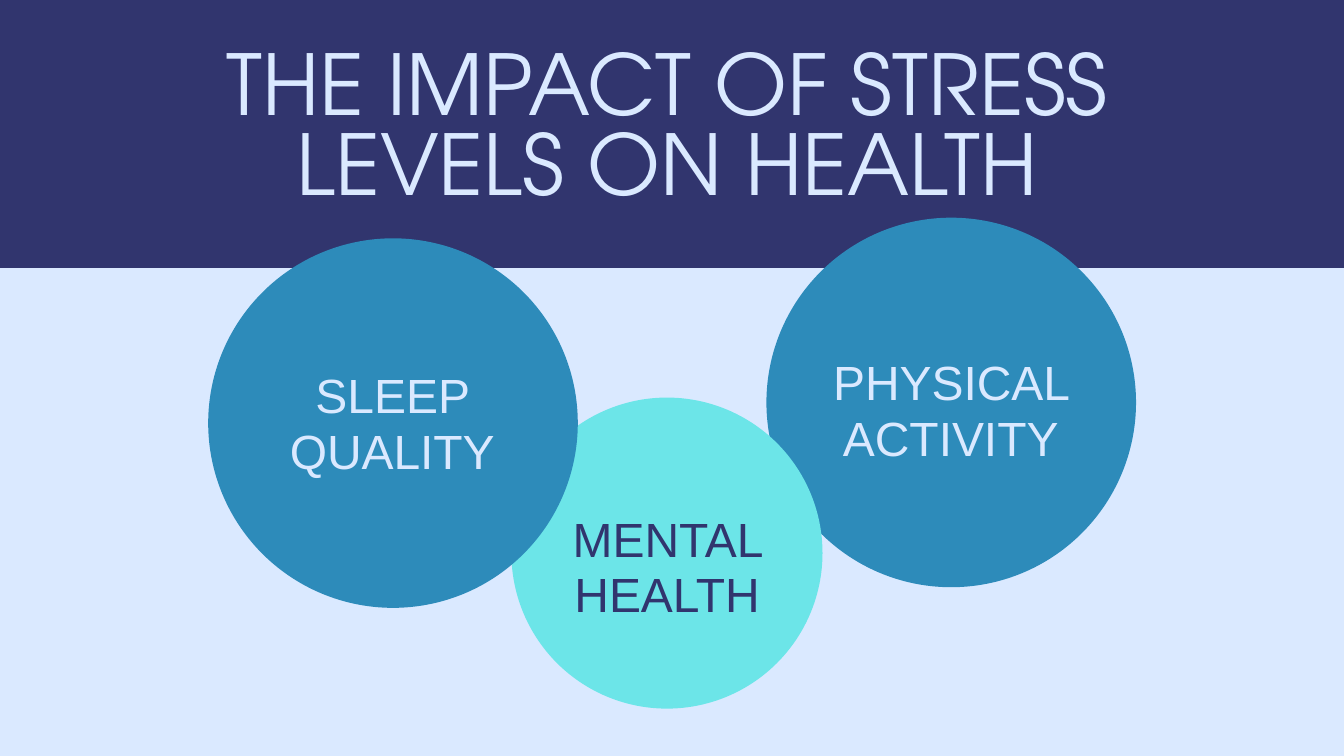
from pptx import Presentation
from pptx.dml.color import RGBColor
from pptx.enum.shapes import MSO_SHAPE
from pptx.enum.text import MSO_ANCHOR, PP_ALIGN
from pptx.util import Cm, Pt

RECTANGLE = MSO_SHAPE.RECTANGLE
OVAL = MSO_SHAPE.OVAL
CENTER = PP_ALIGN.CENTER
TOP = MSO_ANCHOR.TOP

COLORS = {
    "navy": "31356E",
    "pale": "DAE9FF",
    "blue": "2D8BBA",
    "aqua": "6CE5E8",
}
TITLE_STYLE = ("TeX Gyre Adventor", 89.8, 86.2)
LABEL_STYLE = ("Arial", 51.4, 59.6)
LABEL_HEIGHT = 4.22


def color(name):
    return RGBColor.from_string(COLORS[name])


def add_filled_shape(slide, kind, left, top, width, height, fill):
    shape = slide.shapes.add_shape(kind, Cm(left), Cm(top), Cm(width), Cm(height))
    shape.shadow.inherit = False
    shape.fill.solid()
    shape.fill.fore_color.rgb = color(fill)
    shape.line.fill.background()


def add_circle(slide, left, top, diameter, fill):
    add_filled_shape(slide, OVAL, left, top, diameter, diameter, fill)


def add_text(slide, text, left, top, width, height, style, text_color):
    font_name, size, line_spacing = style
    box = slide.shapes.add_textbox(Cm(left), Cm(top), Cm(width), Cm(height))
    frame = box.text_frame
    frame.word_wrap = True
    frame.vertical_anchor = TOP
    frame.margin_left = frame.margin_right = Cm(0)
    frame.margin_top = frame.margin_bottom = Cm(0)
    paragraph = frame.paragraphs[0]
    paragraph.alignment = CENTER
    paragraph.line_spacing = Pt(line_spacing)
    run = paragraph.add_run()
    run.text = text
    run.font.name = font_name
    run.font.size = Pt(size)
    run.font.color.rgb = color(text_color)


def add_label(slide, text, left, top, width, text_color):
    add_text(slide, text, left, top, width, LABEL_HEIGHT, LABEL_STYLE, text_color)


def main():
    presentation = Presentation()
    presentation.slide_width = Cm(50.8)
    presentation.slide_height = Cm(28.58)
    slide = presentation.slides.add_slide(presentation.slide_layouts[6])
    slide.background.fill.solid()
    slide.background.fill.fore_color.rgb = color("pale")

    add_filled_shape(slide, RECTANGLE, 0, -1.73, 50.8, 11.86, "navy")
    add_text(slide, "THE IMPACT OF STRESS LEVELS ON HEALTH",
             6.53, 1.96, 37.36, 6.27, TITLE_STYLE, "pale")

    add_circle(slide, 28.97, 8.23, 13.97, "blue")
    add_circle(slide, 19.33, 15.03, 11.76, "aqua")
    add_label(slide, "MENTAL HEALTH", 20.14, 19.33, 10.16, "navy")
    add_circle(slide, 7.87, 9.01, 13.97, "blue")
    add_label(slide, "SLEEP QUALITY", 8.48, 13.89, 12.7, "pale")
    add_label(slide, "PHYSICAL ACTIVITY", 29.59, 13.41, 12.7, "pale")

    presentation.save("out.pptx")


if __name__ == "__main__":
    main()
